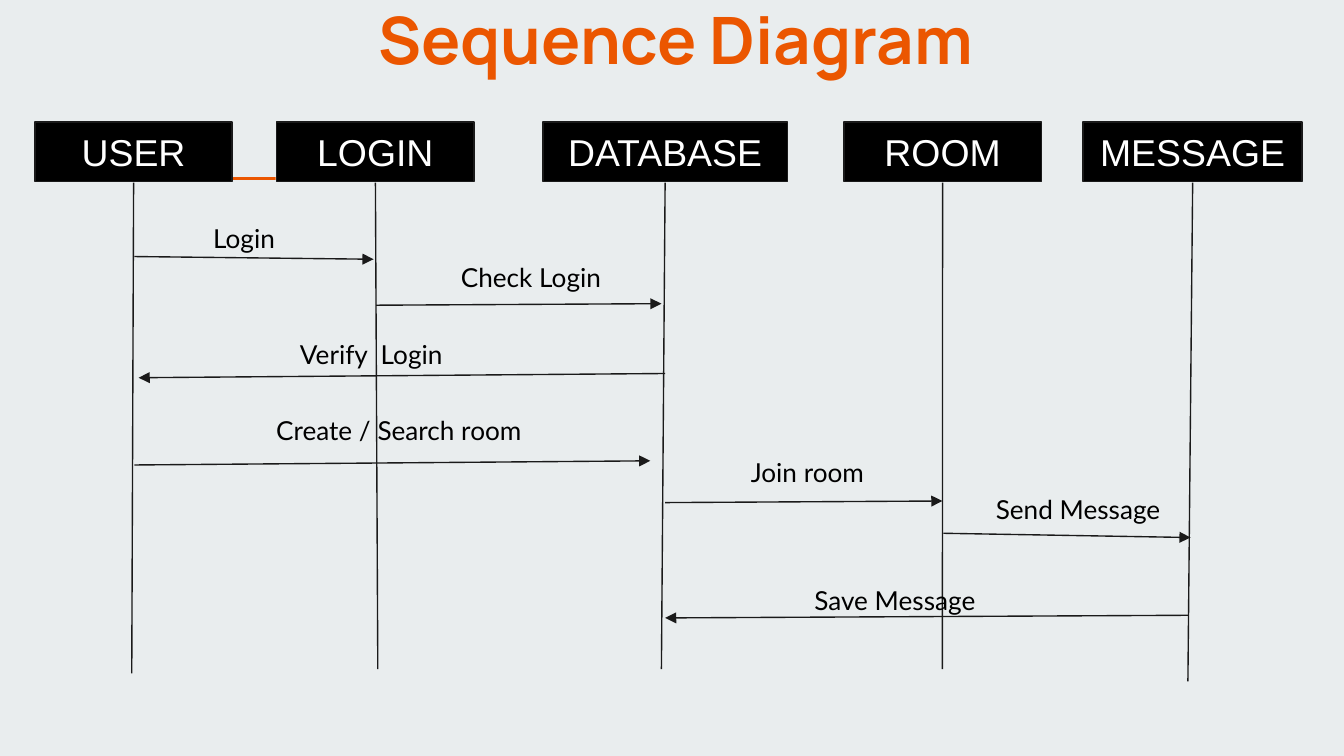
from lxml import etree
from pptx import Presentation
from pptx.dml.color import RGBColor
from pptx.enum.shapes import MSO_CONNECTOR, MSO_SHAPE
from pptx.enum.text import MSO_ANCHOR, PP_ALIGN
from pptx.oxml.ns import qn
from pptx.util import Cm, Pt

RECTANGLE = MSO_SHAPE.RECTANGLE
STRAIGHT = MSO_CONNECTOR.STRAIGHT
MIDDLE, TOP = MSO_ANCHOR.MIDDLE, MSO_ANCHOR.TOP
LEFT, CENTER = PP_ALIGN.LEFT, PP_ALIGN.CENTER

COLORS = {"background": "E9EDEE", "accent": "EB5600", "box": "000000",
          "line": "1A1A1A", "label": "000000", "box_text": "FFFFFF"}

# All lengths are in centimetres.
TITLE = "Sequence Diagram"
BOX_TOP, BOX_HEIGHT = 2.31, 1.12
LIFELINE_TOP = 3.45
LABEL_HEIGHT = 1.09
INSET = 0.25

# name, box left, box width, foot of the lifeline (x, y)
PARTICIPANTS = [
    ("USER", 0.66, 3.73, (2.49, 12.73)),
    ("LOGIN", 5.23, 3.73, (7.14, 12.65)),
    ("DATABASE", 10.26, 4.62, (12.5, 12.65)),
    ("ROOM", 15.95, 3.73, (17.81, 12.65)),
    ("MESSAGE", 20.47, 4.14, (22.45, 12.88)),
]

# label, alignment, label (left, top, width), arrow start, arrow end
MESSAGES = [
    ("Login", LEFT, (3.78, 3.96, 2.01), (2.54, 4.85), (7.06, 4.9)),
    ("Check Login", LEFT, (8.46, 4.7, 3.73), (7.11, 5.77), (12.5, 5.74)),
    ("Verify  Login", LEFT, (5.42, 6.15, 4.23), (12.57, 7.06), (2.62, 7.14)),
    ("Create / Search room", CENTER, (3.12, 7.59, 8.84), (2.54, 8.79), (12.29, 8.71)),
    ("Join room", LEFT, (13.94, 8.38, 3.1), (12.57, 9.5), (17.81, 9.47)),
    ("Send Message", LEFT, (18.57, 9.07, 4.52), (17.83, 10.08), (22.5, 10.16)),
    ("Save Message", LEFT, (15.14, 10.8, 4.52), (22.45, 11.63), (12.57, 11.68)),
]


def color(name):
    """Return the named colour."""
    return RGBColor.from_string(COLORS[name])


def write(shape, text, font, size, color_name, align, anchor, side_inset=INSET, bold=False):
    """Put one formatted paragraph into a shape."""
    frame = shape.text_frame
    frame.word_wrap = True
    frame.vertical_anchor = anchor
    frame.margin_left = frame.margin_right = Cm(side_inset)
    frame.margin_top = frame.margin_bottom = Cm(INSET)
    paragraph = frame.paragraphs[0]
    paragraph.text = text
    paragraph.alignment = align
    paragraph.font.name = font
    paragraph.font.size = Pt(size)
    paragraph.font.bold = bold
    paragraph.font.color.rgb = color(color_name)


def add_block(slide, left, top, width, height, fill):
    """Add a filled rectangle without a line or shadow."""
    block = slide.shapes.add_shape(RECTANGLE, Cm(left), Cm(top), Cm(width), Cm(height))
    block.shadow.inherit = False
    block.fill.solid()
    block.fill.fore_color.rgb = color(fill)
    block.line.fill.background()
    return block


def add_text(slide, left, top, width, height, *style, **options):
    """Add a text box holding one paragraph."""
    box = slide.shapes.add_textbox(Cm(left), Cm(top), Cm(width), Cm(height))
    write(box, *style, **options)


def add_line(slide, start, end, arrow=False):
    """Add a thin line, with an arrowhead at its end if asked."""
    points = [Cm(value) for value in (*start, *end)]
    line = slide.shapes.add_connector(STRAIGHT, *points)
    line.line.color.rgb = color("line")
    line.line.width = Pt(0.75)
    if arrow:
        etree.SubElement(line.line._get_or_add_ln(), qn("a:tailEnd"), type="triangle")
    etree.SubElement(line._element.spPr, qn("a:effectLst"))


def add_participant(slide, name, left, width, foot):
    """Add a participant's box and its lifeline."""
    box = add_block(slide, left, BOX_TOP, width, BOX_HEIGHT, "box")
    box.line.color.rgb = color("line")
    box.line.width = Pt(0.75)
    write(box, name, "Arial", 20, "box_text", CENTER, MIDDLE)
    add_line(slide, (left + width / 2, LIFELINE_TOP), foot)


def main():
    """Build and save the slide."""
    deck = Presentation()
    deck.slide_width, deck.slide_height = Cm(25.4), Cm(14.29)
    slide = deck.slides.add_slide(deck.slide_layouts[6])
    slide.background.fill.solid()
    slide.background.fill.fore_color.rgb = color("background")

    add_block(slide, 2.51, 3.35, 2.7, 0.05, "accent")
    add_text(slide, 0, 0, 25.55, 1.45, TITLE, "Manrope", 35, "accent",
             CENTER, MIDDLE, side_inset=0, bold=True)
    for participant in PARTICIPANTS:
        add_participant(slide, *participant)
    for label, align, place, start, end in MESSAGES:
        add_line(slide, start, end, arrow=True)
        add_text(slide, *place, LABEL_HEIGHT, label, "Lato", 14, "label", align, TOP)

    deck.save("out.pptx")


main()
